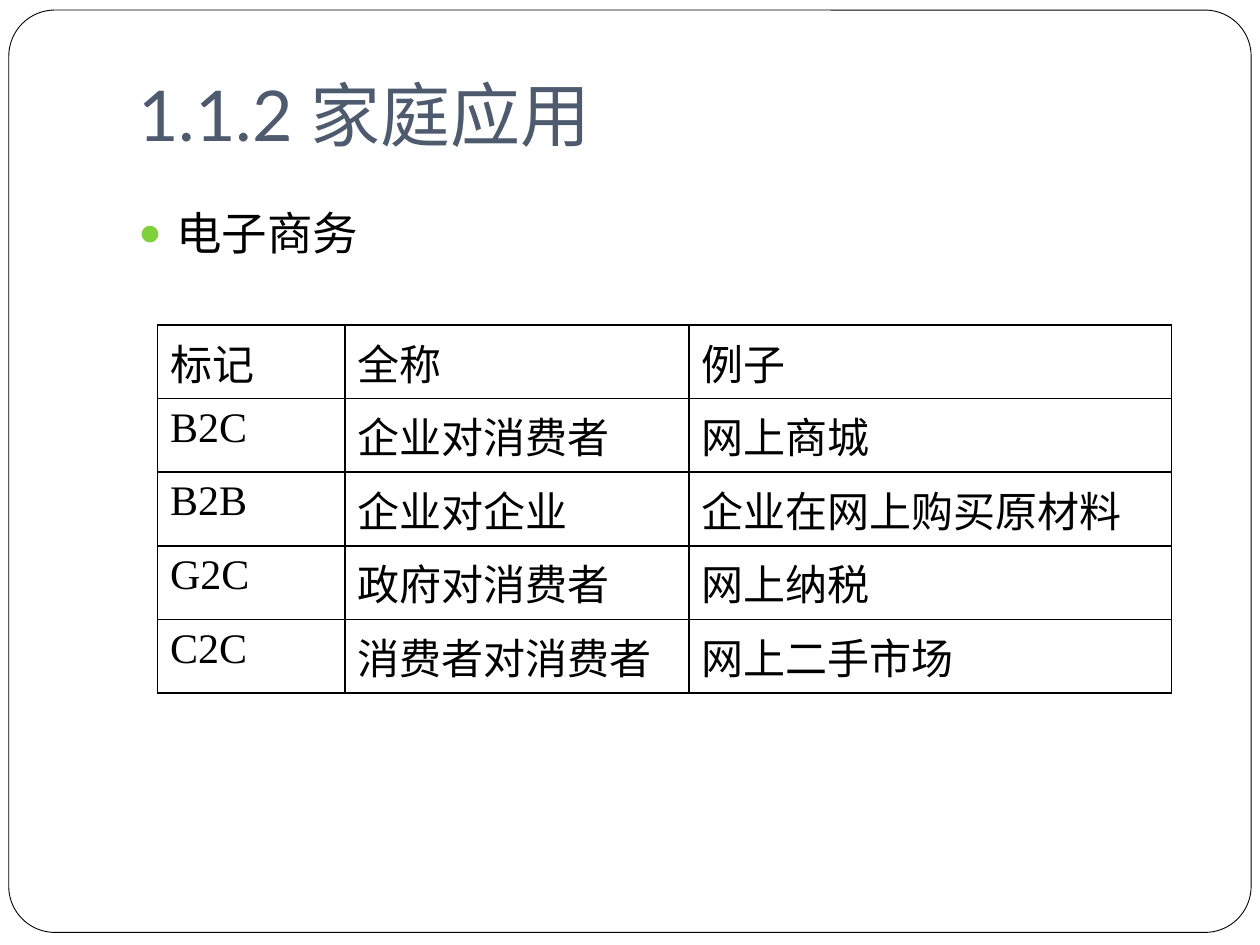
from lxml.etree import SubElement
from pptx import Presentation
from pptx.dml.color import RGBColor
from pptx.enum.shapes import MSO_SHAPE as Shape
from pptx.enum.text import MSO_ANCHOR as Anchor
from pptx.oxml.ns import qn
from pptx.util import Inches, Pt

WHITE = RGBColor(0xFF, 0xFF, 0xFF)
BLACK = RGBColor(0x00, 0x00, 0x00)
SLATE = RGBColor(0x4E, 0x5B, 0x6F)
GREEN = RGBColor(0x7F, 0xD1, 0x3B)

TITLE_FORMAT = {"name": "Lato", "size": Pt(40)}
BODY_FORMAT = {"name": "Times New Roman", "size": Pt(26)}
CELL_FORMAT = {"name": "Times New Roman", "size": Pt(24), "bold": False}

COLUMN_WIDTHS = (1.49, 2.73, 3.83)
COMMERCE_ROWS = (
    ("标记", "全称", "例子"),
    ("B2C", "企业对消费者", "网上商城"),
    ("B2B", "企业对企业", "企业在网上购买原材料"),
    ("G2C", "政府对消费者", "网上纳税"),
    ("C2C", "消费者对消费者", "网上二手市场"),
)


def inches(box):
    return [Inches(length) for length in box]


def format_font(font, values, color):
    for name, value in values.items():
        setattr(font, name, value)
    font.color.rgb = color


def add_frame(slide, box):
    frame = slide.shapes.add_shape(Shape.ROUNDED_RECTANGLE, *inches(box))
    frame.adjustments[0] = 0.05
    frame.shadow.inherit = False
    frame.fill.solid()
    frame.fill.fore_color.rgb = WHITE
    frame.line.color.rgb = BLACK
    frame.line.width = Pt(0.5)


def add_text(slide, box, text):
    """Add a wrapping text box and return its frame and first paragraph."""
    text_frame = slide.shapes.add_textbox(*inches(box)).text_frame
    text_frame.word_wrap = True
    paragraph = text_frame.paragraphs[0]
    paragraph.text = text
    return text_frame, paragraph


def add_title(slide, box):
    text_frame, paragraph = add_text(slide, box, "1.1.2 家庭应用")
    text_frame.vertical_anchor = Anchor.MIDDLE
    text_frame.margin_bottom = Inches(0.1)
    format_font(paragraph.font, TITLE_FORMAT, SLATE)


def add_bullet(paragraph, color):
    properties = paragraph._p.get_or_add_pPr()
    properties.set("marL", str(Inches(0.3)))
    properties.set("indent", str(-Inches(0.3)))
    bullet_color = SubElement(properties, qn("a:buClr"))
    SubElement(bullet_color, qn("a:srgbClr"), val=str(color))
    SubElement(properties, qn("a:buSzPct"), val="85000")
    SubElement(properties, qn("a:buFont"), typeface="Times New Roman")
    SubElement(properties, qn("a:buChar"), char="●")


def add_body(slide, box):
    _, paragraph = add_text(slide, box, "电子商务")
    add_bullet(paragraph, GREEN)
    format_font(paragraph.font, BODY_FORMAT, BLACK)


def add_borders(cell, color, width):
    properties = cell._tc.get_or_add_tcPr()
    for index, side in enumerate(("lnL", "lnR", "lnT", "lnB")):
        line = properties.makeelement(qn(f"a:{side}"), {"w": str(width)})
        fill = SubElement(line, qn("a:solidFill"))
        SubElement(fill, qn("a:srgbClr"), val=str(color))
        properties.insert(index, line)


def add_commerce_table(slide, box):
    """Add the table; its rows share the height of the box equally."""
    table = slide.shapes.add_table(
        len(COMMERCE_ROWS), len(COLUMN_WIDTHS), *inches(box)
    ).table
    table.first_row = False
    table.horz_banding = False
    for column, width in zip(table.columns, COLUMN_WIDTHS):
        column.width = Inches(width)
    for row, texts in zip(table.rows, COMMERCE_ROWS):
        for cell, text in zip(row.cells, texts):
            cell.text = text
            cell.fill.background()
            add_borders(cell, BLACK, Pt(1))
            format_font(cell.text_frame.paragraphs[0].font, CELL_FORMAT, BLACK)


def main():
    presentation = Presentation()
    presentation.slide_width = Inches(10)
    presentation.slide_height = Inches(7.5)
    slide = presentation.slides.add_slide(presentation.slide_layouts[6])
    add_frame(slide, (0.07, 0.08, 9.86, 7.32))
    add_title(slide, (1, 0.3, 8.5, 1.25))
    add_body(slide, (1, 1.58, 8.5, 5))
    add_commerce_table(slide, (1.25, 2.58, sum(COLUMN_WIDTHS), 2.92))
    presentation.save("out.pptx")


if __name__ == "__main__":
    main()
